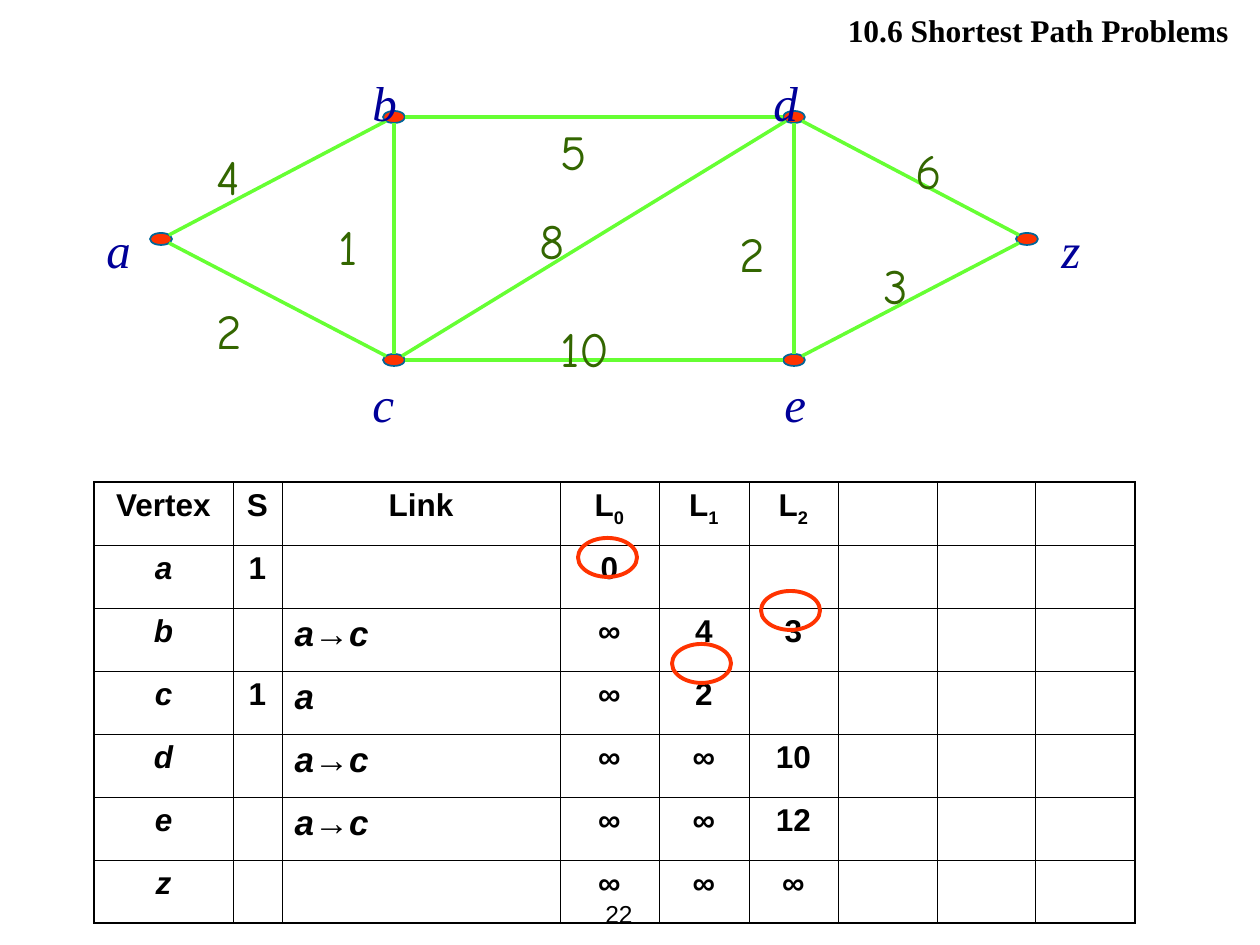
from lxml.etree import SubElement
from pptx import Presentation
from pptx.dml.color import RGBColor
from pptx.enum.shapes import MSO_CONNECTOR, MSO_SHAPE
from pptx.enum.text import MSO_ANCHOR, PP_ALIGN
from pptx.oxml.ns import qn
from pptx.util import Pt

PX = 914400 / 126
COLORS = {
    "black": "000000",
    "vertex": "FF3300",
    "vertex_line": "006699",
    "edge": "66FF33",
    "letter": "000099",
    "weight": "336600",
    "mark": "FF3300",
}
COLOR = {name: RGBColor.from_string(value) for name, value in COLORS.items()}


def write(paragraph, text, size=18, font="Arial", color="black", bold=False,
          italic=False, align=PP_ALIGN.LEFT, subscript=False):
    """Add one formatted run to the paragraph."""
    paragraph.alignment = align
    run = paragraph.add_run()
    run.text = text
    run.font.size = Pt(size)
    run.font.name = font
    run.font.bold = bold
    run.font.italic = italic
    run.font.color.rgb = COLOR[color]
    if subscript:
        run.font._element.set("baseline", "-25000")


def add_text(left, top, width, height, text, anchor=MSO_ANCHOR.TOP, **text_format):
    box = slide.shapes.add_textbox(*[round(v * PX) for v in (left, top, width, height)])
    box.text_frame.word_wrap = True
    box.text_frame.vertical_anchor = anchor
    write(box.text_frame.paragraphs[0], text, **text_format)


presentation = Presentation()
presentation.slide_width = round(1260 * PX)
presentation.slide_height = round(945 * PX)
slide = presentation.slides.add_slide(presentation.slide_layouts[6])

add_text(561, 882, 84, 63, "22", size=14, align=PP_ALIGN.RIGHT, anchor=MSO_ANCHOR.MIDDLE)

# Graph: vertex centres, then edges that end on the rims of the vertices
vertices = {"a": (161, 239), "b": (394, 117), "c": (394, 360),
            "z": (1027, 239), "d": (794, 117), "e": (794, 360)}
for x, y in vertices.values():
    vertex = slide.shapes.add_shape(
        MSO_SHAPE.FLOWCHART_CONNECTOR,
        *[round(v * PX) for v in (x - 11, y - 6, 22, 12)])
    vertex.shadow.inherit = False
    vertex.fill.solid()
    vertex.fill.fore_color.rgb = COLOR["vertex"]
    vertex.line.color.rgb = COLOR["vertex_line"]
    vertex.line.width = Pt(1)

for start, end in ("ab", "bd", "dz", "ze", "ec", "ca", "cb", "ed", "cd"):
    (x1, y1), (x2, y2) = vertices[start], vertices[end]
    step_x = (x2 > x1) - (x2 < x1)
    step_y = (y2 > y1) - (y2 < y1)
    rim_x, rim_y = (8, 4) if step_x and step_y else (11, 6)
    dx, dy = step_x * rim_x, step_y * rim_y
    edge = slide.shapes.add_connector(
        MSO_CONNECTOR.STRAIGHT,
        *[round(v * PX) for v in (x1 + dx, y1 + dy, x2 - dx, y2 - dy)])
    edge.line.color.rgb = COLOR["edge"]
    edge.line.width = Pt(2)
    SubElement(edge._element.spPr, qn("a:effectLst"))

letters = [("a", 94, 213), ("b", 360, 66), ("d", 761, 66),
           ("z", 1049, 213), ("e", 772, 367), ("c", 360, 367)]
for letter, left, top in letters:
    add_text(left, top, 66, 72, letter, size=28, font="Times New Roman",
             color="letter", italic=True)

weights = [("4", 204, 140), ("2", 204, 294), ("1", 326, 210), ("5", 548, 115),
           ("8", 527, 204), ("10", 548, 312), ("2", 727, 217), ("6", 903, 134),
           ("3", 871, 249)]
for weight, left, top in weights:
    add_text(left, top, 90, 72, weight, size=28, font="Comic Neue", color="weight")

# Table of the labels after each step
column_widths = [139, 49, 278, 99, 90, 89, 99, 99, 99]
row_height = 63
LINK = 2
rows = [
    ["Vertex", "S", "Link", "L0", "L1", "L2"],
    ["a", "1", "", "0"],
    ["b", "", "a→c", "∞", "4", "3"],
    ["c", "1", "a", "∞", "2"],
    ["d", "", "a→c", "∞", "∞", "10"],
    ["e", "", "a→c", "∞", "∞", "12"],
    ["z", "", "", "∞", "∞", "∞"],
]
last_row, last_column = len(rows) - 1, len(column_widths) - 1
table = slide.shapes.add_table(
    len(rows), len(column_widths),
    *[round(v * PX) for v in (94, 482, sum(column_widths), row_height * len(rows))]).table
table.first_row = table.horz_banding = False
for column, width in zip(table.columns, column_widths):
    column.width = round(width * PX)

for i, row in enumerate(table.rows):
    row.height = round(row_height * PX)
    for j, cell in enumerate(row.cells):
        outer_sides = {"lnL": j == 0, "lnR": j == last_column,
                       "lnT": i == 0, "lnB": i == last_row}
        properties = cell._tc.get_or_add_tcPr()
        for side, is_outer in outer_sides.items():
            border = SubElement(properties, qn(f"a:{side}"),
                                w=str(Pt(1.08 if is_outer else 0.45)))
            fill = SubElement(border, qn("a:solidFill"))
            SubElement(fill, qn("a:srgbClr"), val=COLORS["black"])
        cell.fill.background()

        text = rows[i][j] if j < len(rows[i]) else ""
        paragraph = cell.text_frame.paragraphs[0]
        if i == 0 and text.startswith("L") and j > LINK:
            write(paragraph, text[0], bold=True, align=PP_ALIGN.CENTER)
            write(paragraph, text[1], bold=True, align=PP_ALIGN.CENTER, subscript=True)
        elif i > 0 and j == LINK:
            for symbol in text:
                write(paragraph, symbol, size=20, bold=True, italic=symbol != "→")
        elif text:
            write(paragraph, text, bold=True, italic=i > 0 and j == 0,
                  align=PP_ALIGN.CENTER)

# Rings around the label chosen at each step
for left, top in [(578, 538), (672, 644), (761, 591)]:
    ring = slide.shapes.add_shape(
        MSO_SHAPE.OVAL, *[round(v * PX) for v in (left, top, 59, 39)])
    ring.shadow.inherit = False
    ring.fill.background()
    ring.line.color.rgb = COLOR["mark"]
    ring.line.width = Pt(2.25)

add_text(501, 5, 740, 50, "10.6 Shortest Path Problems", font="Times New Roman",
         bold=True, align=PP_ALIGN.RIGHT)

presentation.save("out.pptx")
